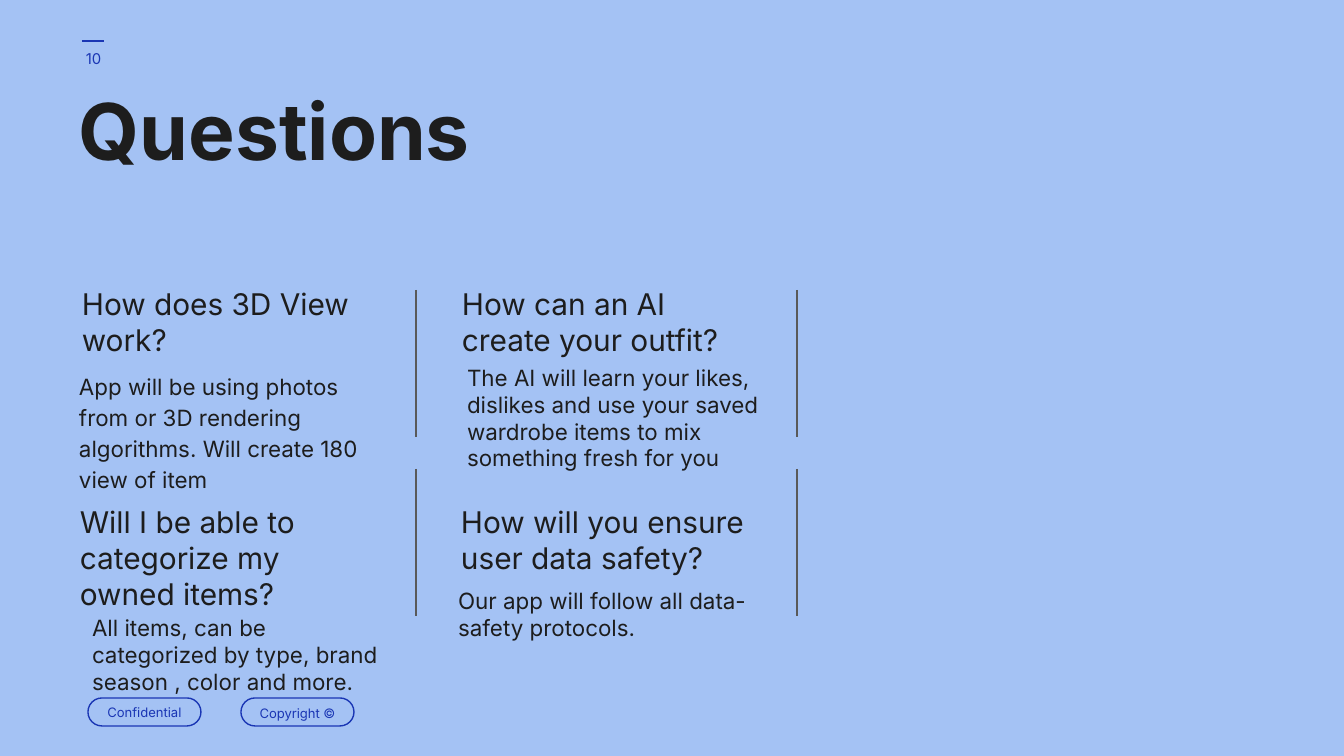
from itertools import product

from pptx import Presentation
from pptx.dml.color import RGBColor
from pptx.enum.shapes import MSO_CONNECTOR as Connector, MSO_SHAPE as Shape
from pptx.enum.text import MSO_ANCHOR as Anchor, PP_ALIGN as Align
from pptx.oxml.ns import qn
from pptx.util import Pt
from lxml.etree import SubElement

EMU_PER_PX = 9144000 / 1344
COLORS = {"background": "A4C2F4", "accent": "1A36B4", "ink": "1D1D1D", "divider": "595959"}
INSET = 13

TITLE = {"size": Pt(42), "bold": True}
QUESTION = {"size": Pt(16)}
ANSWER = {"size": Pt(12)}
PAGE_NUMBER = {"size": Pt(8)}
LABEL = {"size": Pt(7)}

# Question, its left and top, answer, its left and top, answer line spacing
QUESTIONS = [
    ("How does 3D View work?", 69, 273,
     "App will be using photos from or 3D rendering algorithms. Will create 180 view of item",
     66, 356, 1.15),
    ("How can an AI create your outfit?", 449, 273,
     "The AI will learn your likes, dislikes and use your saved wardrobe items to mix "
     "something fresh for you", 454, 351, 1.0),
    ("Will I be able to categorize my owned items?", 67, 491,
     "All items, can be categorized by type, brand season , color and more.", 79, 601, 1.0),
    ("How will you ensure user data safety?", 448, 491,
     "Our app will follow all data-safety protocols.", 445, 574, 1.0),
]


def px(*lengths):
    return [round(length * EMU_PER_PX) for length in lengths]


def rgb(name):
    return RGBColor.from_string(COLORS[name])


def write(shape, text, font_format, color="ink", align=Align.LEFT, anchor=Anchor.TOP, spacing=1.0):
    """Put one formatted paragraph into a shape."""
    frame = shape.text_frame
    inset, = px(INSET)
    frame_format = {"word_wrap": True, "vertical_anchor": anchor, "margin_left": inset,
                    "margin_right": inset, "margin_top": inset, "margin_bottom": inset}
    for name, value in frame_format.items():
        setattr(frame, name, value)
    paragraph = frame.paragraphs[0]
    paragraph.alignment = align
    paragraph.line_spacing = spacing
    run = paragraph.add_run()
    run.text = text
    for name, value in {"name": "Inter", **font_format}.items():
        setattr(run.font, name, value)
    run.font.color.rgb = rgb(color)


def add_text(slide, box, text, font_format, **options):
    write(slide.shapes.add_textbox(*px(*box)), text, font_format, **options)


def add_line(slide, start, end, color):
    line = slide.shapes.add_connector(Connector.STRAIGHT, *px(*start, *end))
    line.line.color.rgb = rgb(color)
    line.line.width = Pt(0.75)
    SubElement(line._element.spPr, qn("a:effectLst"))


def add_pill(slide, left, text, spacing):
    pill = slide.shapes.add_shape(Shape.ROUNDED_RECTANGLE, *px(left, 698, 113, 28))
    pill.adjustments[0] = 0.5
    pill.shadow.inherit = False
    pill.fill.background()
    pill.line.color.rgb = rgb("accent")
    pill.line.width = Pt(0.75)
    write(pill, text, LABEL, color="accent", align=Align.CENTER,
          anchor=Anchor.MIDDLE, spacing=spacing)


def main():
    presentation = Presentation()
    presentation.slide_width, presentation.slide_height = px(1344, 756)
    slide = presentation.slides.add_slide(presentation.slide_layouts[6])
    slide.background.fill.solid()
    slide.background.fill.fore_color.rgb = rgb("background")

    add_line(slide, (82, 41), (104, 41), "accent")
    add_text(slide, (62, 30, 63, 58), "10", PAGE_NUMBER, color="accent",
             align=Align.CENTER, anchor=Anchor.MIDDLE)
    add_text(slide, (66, 87, 649, 185), "Questions", TITLE, spacing=0.8)

    add_pill(slide, 88, "Confidential", 1.0)
    add_pill(slide, 241, "Copyright ©", 1.15)

    for top, left in product((290, 469), (416, 797)):
        add_line(slide, (left, top), (left, top + 147), "divider")

    for question, left, top, answer, answer_left, answer_top, spacing in QUESTIONS:
        add_text(slide, (left, top, 316, 54), question, QUESTION)
        add_text(slide, (answer_left, answer_top, 321, 105), answer, ANSWER, spacing=spacing)

    presentation.save("out.pptx")


if __name__ == "__main__":
    main()
